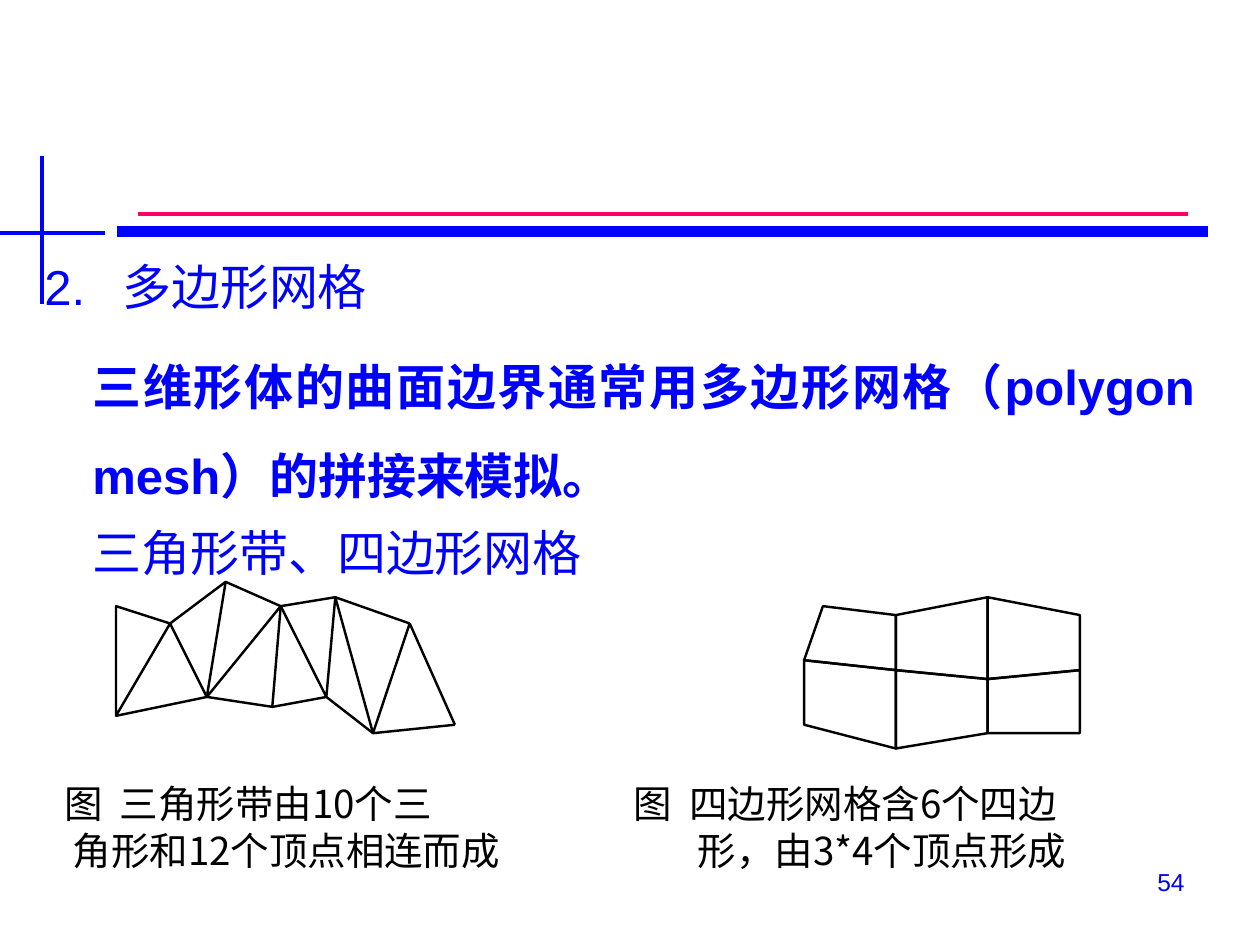
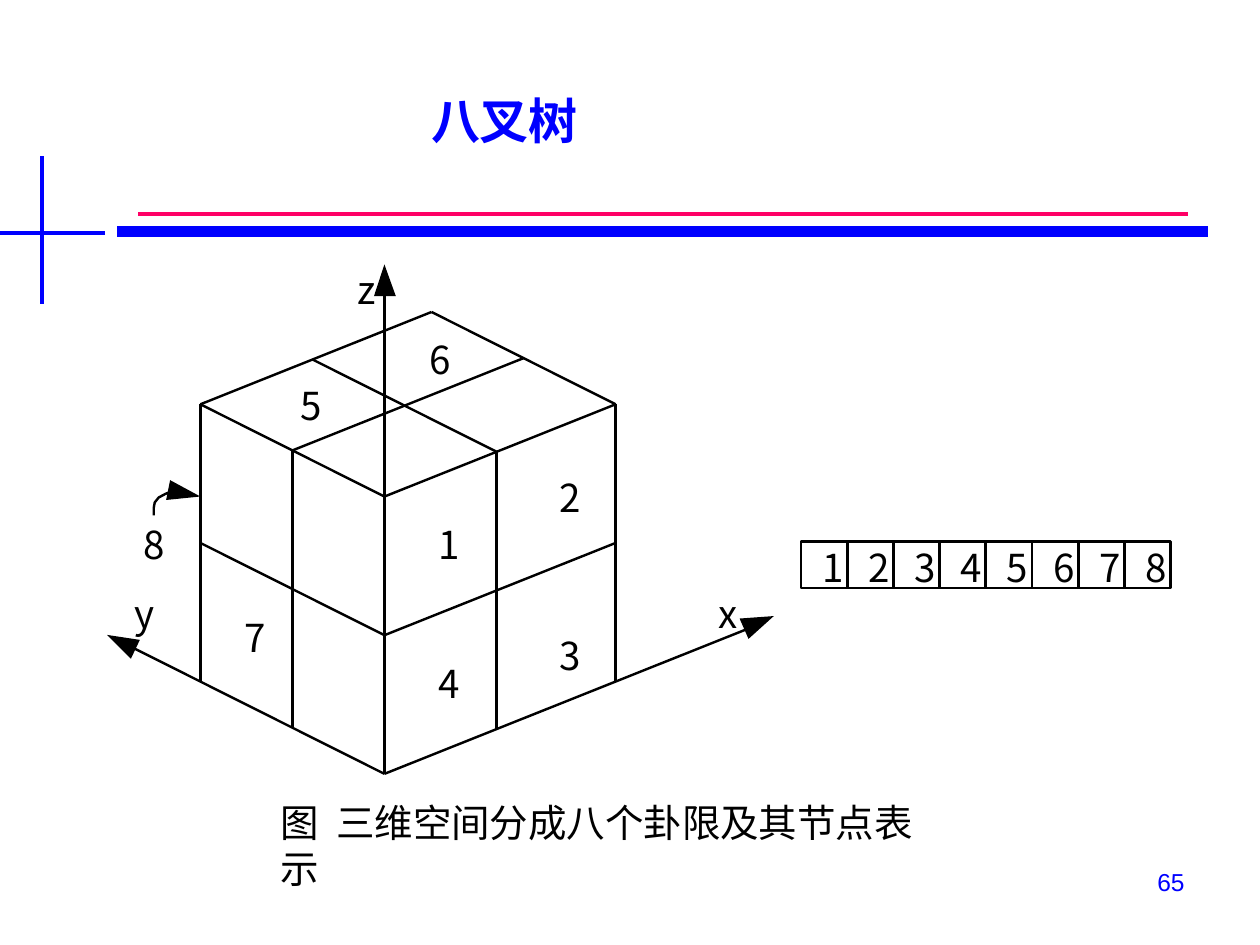
from dataclasses import dataclass
from itertools import pairwise

import pptx
import pptx.dml.color
import pptx.enum.shapes
import pptx.enum.text
import pptx.oxml.ns
import pptx.oxml.xmlchemy
import pptx.presentation
import pptx.shapes.base
import pptx.slide
import pptx.text.text
import pptx.util
from lxml import etree
from pptx.util import Cm

Point = tuple[float, float]

BLUE, PINK, BLACK = "0000FF", "FF0066", "000000"
BODY_FONT, TITLE_FONT, FIGURE_FONT = "Arial", "Times New Roman", "Noto Sans CJK SC"
HEADING_SIZE, FIGURE_SIZE, NUMBER_SIZE = 28, 22, 14
FIGURE_LINE = 1.39
LABEL_HEIGHT = 0.94
CAPTION_TAB = 1.12


@dataclass(frozen=True)
class Line:
    start: Point
    end: Point
    color: str = BLACK
    width: float = FIGURE_LINE


@dataclass(frozen=True)
class Label:
    text: str
    left: float
    top: float
    width: float = 0.46


@dataclass(frozen=True)
class BodyLine:
    text: str
    margin: float
    indent: float
    line_spacing: float
    space_before: float
    bold: bool = False


BANDS = [
    Line((2.79, 4.32), (23.95, 4.32), PINK, 2.25),
    Line((2.36, 4.67), (24.36, 4.67), BLUE, 6),
    Line((0, 4.7), (2.11, 4.7), BLUE, 2.25),
    Line((0.84, 3.15), (0.84, 6.12), BLUE, 2.25),
]

BODY = [
    BodyLine("2.\t多边形网格", 1.57, -1.57, 1.5, 0),
    BodyLine("三维形体的曲面边界通常用多边形网格（polygon mesh）的拼接来模拟。",
             0.97, 0, 1.5, 7, bold=True),
    BodyLine("三角形带、四边形网格", 0.97, 0, 1.1, 7),
]

STRIP_TOP = [(2.34, 12.22), (3.43, 12.57), (4.55, 11.73),
             (5.66, 12.22), (6.76, 12.04), (8.26, 12.57)]
STRIP_BOTTOM = [(2.34, 14.43), (4.17, 14.05), (5.49, 14.25),
                (6.58, 14.05), (7.52, 14.78), (9.17, 14.61)]

MESH_ROWS = [
    [(16.59, 12.22), (18.06, 12.4), (19.91, 12.04), (21.77, 12.4)],
    [(16.21, 13.31), (18.06, 13.51), (19.91, 13.69), (21.77, 13.51)],
    [(16.21, 14.61), (18.06, 15.09), (19.91, 14.78), (21.77, 14.78)],
]

MESH_CAPTIONS = [
    Label("图\t四边形网格含6个四边", 12.78, 15.72, 8.92),
    Label("形，由3*4个顶点形成", 14.07, 16.66, 7.87),
    Label("图\t三角形带由10个三", 1.3, 15.72, 7.8),
    Label("角形和12个顶点相连而成", 1.47, 16.66, 9.02),
]

# Cube edges in units of the cube's side, seen from its front bottom corner.
X_MIDDLE = 0.485
CUBE_EDGES = [
    ((0, 0, 0), (0, 0, 1.73)), ((0, 0, 0), (1.57, 0, 0)), ((0, 0, 0), (0, 1.36, 0)),
    ((0, 0, 1), (0, 1, 1)), ((0, 0, 1), (1, 0, 1)),
    ((0, 1, 1), (0, 1, 0)), ((1, 0, 1), (1, 0, 0)),
    ((0, 1, 1), (1, 1, 1)), ((1, 0, 1), (1, 1, 1)),
    ((0, 0, 0.5), (1, 0, 0.5)), ((0, 0, 0.5), (0, 1, 0.5)),
    ((X_MIDDLE, 0, 1), (X_MIDDLE, 1, 1)), ((X_MIDDLE, 0, 1), (X_MIDDLE, 0, 0)),
    ((0, 0.5, 1), (0, 0.5, 0)), ((0, 0.5, 1), (1, 0.5, 1)),
]

ARROWHEADS = [
    [(7.54, 5.97), (7.75, 5.33), (7.98, 5.97)],
    [(14.91, 12.47), (15.6, 12.42), (15.09, 12.88)],
    [(2.64, 13.28), (2.16, 12.8), (2.82, 12.9)],
    [(3.43, 9.68), (4.04, 10.01), (3.35, 10.08)],
]
HIDDEN_OCTANT_POINTER = [(3.1, 10.39), (3.1, 10.24), (3.12, 10.13),
                         (3.2, 10.03), (3.33, 9.96), (3.45, 9.91)]

OCTREE_LABELS = [
    Label("x", 14.48, 11.89), Label("z", 7.21, 5.36, 0.36), Label("y", 2.72, 11.89),
    Label("1", 8.84, 10.49), Label("2", 11.28, 9.55), Label("3", 11.28, 12.73),
    Label("4", 8.84, 13.31), Label("5", 6.05, 7.7), Label("6", 8.66, 6.76),
    Label("7", 4.93, 12.37), Label("8", 2.9, 10.49),
    Label("图\t三维空间分成八个卦限及其节点表示", 5.66, 16.56, 13.51),
]
NODE_LEFT, NODE_TOP, NODE_PITCH, NODE_SIZE = 16.15, 10.92, 0.93, 0.94


def rgb(color: str) -> pptx.dml.color.RGBColor:
    return pptx.dml.color.RGBColor.from_string(color)


def place(shape: pptx.shapes.base.BaseShape,
          left: float, top: float, width: float, height: float) -> None:
    shape.left, shape.top = Cm(left), Cm(top)
    shape.width, shape.height = Cm(width), Cm(height)


def format_runs(paragraph: pptx.text.text._Paragraph, font: str, size: float,
                color: str, bold: bool = False) -> None:
    for run in paragraph.runs:
        run.font.name, run.font.size, run.font.bold = font, pptx.util.Pt(size), bold
        run.font.color.rgb = rgb(color)


def add_line(slide: pptx.slide.Slide, line: Line) -> None:
    connector = slide.shapes.add_connector(
        pptx.enum.shapes.MSO_CONNECTOR.STRAIGHT,
        *map(Cm, line.start), *map(Cm, line.end))
    connector.line.color.rgb = rgb(line.color)
    connector.line.width = pptx.util.Pt(line.width)
    properties = connector._element.spPr
    etree.SubElement(properties, pptx.oxml.ns.qn("a:effectLst"))


def style_outline(shape: pptx.shapes.base.BaseShape) -> None:
    shape.shadow.inherit = False
    shape.fill.background()
    shape.line.color.rgb = rgb(BLACK)
    shape.line.width = pptx.util.Pt(FIGURE_LINE)


def add_outline(slide: pptx.slide.Slide, points: list[Point], closed: bool = True,
                filled: bool = False) -> None:
    """Draw a black path through the points, as an outline or as a solid."""
    corners = [(Cm(x), Cm(y)) for x, y in points]
    builder = slide.shapes.build_freeform(*corners[0])
    builder.add_line_segments(corners[1:], close=closed)
    shape = builder.convert_to_shape()
    style_outline(shape)
    if filled:
        shape.fill.solid()
        shape.fill.fore_color.rgb = rgb(BLACK)
        shape.line.fill.background()


def add_label(slide: pptx.slide.Slide, label: Label) -> None:
    text_box = slide.shapes.add_textbox(
        Cm(label.left), Cm(label.top), Cm(label.width), Cm(LABEL_HEIGHT))
    frame = text_box.text_frame
    frame.margin_left = frame.margin_right = frame.margin_top = frame.margin_bottom = 0
    frame.word_wrap = False
    frame.vertical_anchor = pptx.enum.text.MSO_ANCHOR.MIDDLE
    frame.text = label.text
    paragraph = frame.paragraphs[0]
    if "\t" in label.text:
        stops = etree.SubElement(paragraph._p.get_or_add_pPr(), pptx.oxml.ns.qn("a:tabLst"))
        etree.SubElement(stops, pptx.oxml.ns.qn("a:tab"), pos=str(Cm(CAPTION_TAB)), algn="l")
    format_runs(paragraph, FIGURE_FONT, FIGURE_SIZE, BLACK)
    for run in paragraph.runs:
        etree.SubElement(run._r.get_or_add_rPr(), pptx.oxml.ns.qn("a:ea"),
                         typeface=FIGURE_FONT)


def add_frame(slide: pptx.slide.Slide, number: int) -> None:
    """Add the bands and the page number that every slide carries."""
    for band in BANDS:
        add_line(slide, band)
    text_box = slide.shapes.add_textbox(Cm(18.21), Cm(17.35), Cm(5.92), Cm(1.32))
    text_box.text_frame.word_wrap = True
    text_box.text_frame.text = str(number)
    paragraph = text_box.text_frame.paragraphs[0]
    paragraph.alignment = pptx.enum.text.PP_ALIGN.RIGHT
    format_runs(paragraph, BODY_FONT, NUMBER_SIZE, BLUE)


def fill_body(body: pptx.shapes.base.BaseShape) -> None:
    place(body, 0.64, 4.45, 23.7, 8.26)
    frame = body.text_frame
    frame.auto_size = pptx.enum.text.MSO_AUTO_SIZE.NONE
    frame.text = "\n".join(line.text for line in BODY)
    for paragraph, line in zip(frame.paragraphs, BODY):
        paragraph.alignment = pptx.enum.text.PP_ALIGN.JUSTIFY
        paragraph.line_spacing = line.line_spacing
        paragraph.space_before = pptx.util.Pt(line.space_before)
        properties = paragraph._p.get_or_add_pPr()
        properties.set("marL", str(Cm(line.margin)))
        properties.set("indent", str(Cm(line.indent)))
        etree.SubElement(properties, pptx.oxml.ns.qn("a:buNone"))
        format_runs(paragraph, BODY_FONT, HEADING_SIZE, BLUE, line.bold)


def add_triangle_strip(slide: pptx.slide.Slide) -> None:
    top, bottom = STRIP_TOP, STRIP_BOTTOM
    for triangle in [
        [top[0], top[1], bottom[0]], [top[1], top[2], bottom[1]],
        [bottom[1], bottom[2], top[3]], [top[3], top[4], bottom[3]],
        [top[4], top[5], bottom[4]],
    ]:
        add_outline(slide, triangle)
    for start, end in [(top[2], top[3]), (bottom[0], bottom[1]), *pairwise(bottom[2:]),
                       (top[5], bottom[5])]:
        add_line(slide, Line(start, end))


def add_quad_mesh(slide: pptx.slide.Slide) -> None:
    for upper, lower in pairwise(MESH_ROWS):
        for (a, b), (d, c) in zip(pairwise(upper), pairwise(lower)):
            add_outline(slide, [a, b, c, d])


def project(x: float, y: float, z: float) -> Point:
    """Turn cube coordinates into a place on the slide."""
    return 7.75 + 4.66 * x - 3.71 * y, 15.6 - 1.86 * (x + y) - 5.59 * z


def add_octant_cube(slide: pptx.slide.Slide) -> None:
    for start, end in CUBE_EDGES:
        add_line(slide, Line(project(*start), project(*end)))
    for arrowhead in ARROWHEADS:
        add_outline(slide, arrowhead, filled=True)
    add_outline(slide, HIDDEN_OCTANT_POINTER, closed=False)


def add_node_cells(slide: pptx.slide.Slide) -> None:
    for index in range(8):
        left = NODE_LEFT + index * NODE_PITCH
        cell = slide.shapes.add_shape(
            pptx.enum.shapes.MSO_SHAPE.RECTANGLE,
            Cm(left), Cm(NODE_TOP), Cm(NODE_SIZE), Cm(NODE_SIZE))
        style_outline(cell)
        add_label(slide, Label(str(index + 1), left + 0.43, NODE_TOP + 0.05))


def build_mesh_slide(presentation: pptx.presentation.Presentation) -> None:
    slide = presentation.slides.add_slide(presentation.slide_layouts[1])
    title = slide.shapes.title._element
    title.getparent().remove(title)
    add_frame(slide, 54)
    fill_body(slide.placeholders[1])
    add_triangle_strip(slide)
    add_quad_mesh(slide)
    for caption in MESH_CAPTIONS:
        add_label(slide, caption)


def build_octree_slide(presentation: pptx.presentation.Presentation) -> None:
    slide = presentation.slides.add_slide(presentation.slide_layouts[5])
    add_frame(slide, 65)
    title = slide.shapes.title
    place(title, 1.27, 1.7, 21.59, 1.91)
    frame = title.text_frame
    frame.auto_size = pptx.enum.text.MSO_AUTO_SIZE.NONE
    frame.vertical_anchor = pptx.enum.text.MSO_ANCHOR.TOP
    frame.margin_left = Cm(7.42)
    frame.text = "八叉树"
    frame.paragraphs[0].alignment = pptx.enum.text.PP_ALIGN.LEFT
    format_runs(frame.paragraphs[0], TITLE_FONT, HEADING_SIZE, BLUE, bold=True)
    add_octant_cube(slide)
    for label in OCTREE_LABELS:
        add_label(slide, label)
    add_node_cells(slide)


def main() -> None:
    presentation = pptx.Presentation()
    presentation.slide_width, presentation.slide_height = Cm(25.4), Cm(19.05)
    build_mesh_slide(presentation)
    build_octree_slide(presentation)
    presentation.save("out.pptx")


if __name__ == "__main__":
    main()
